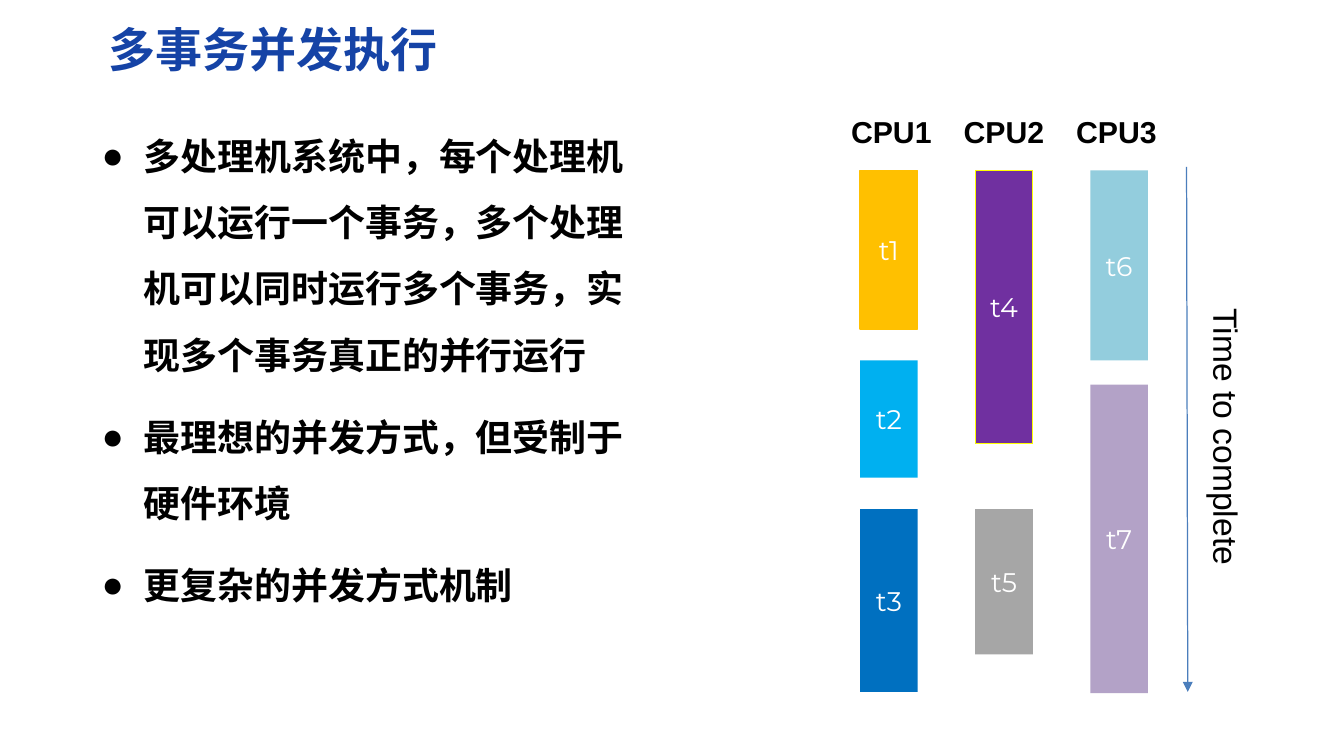
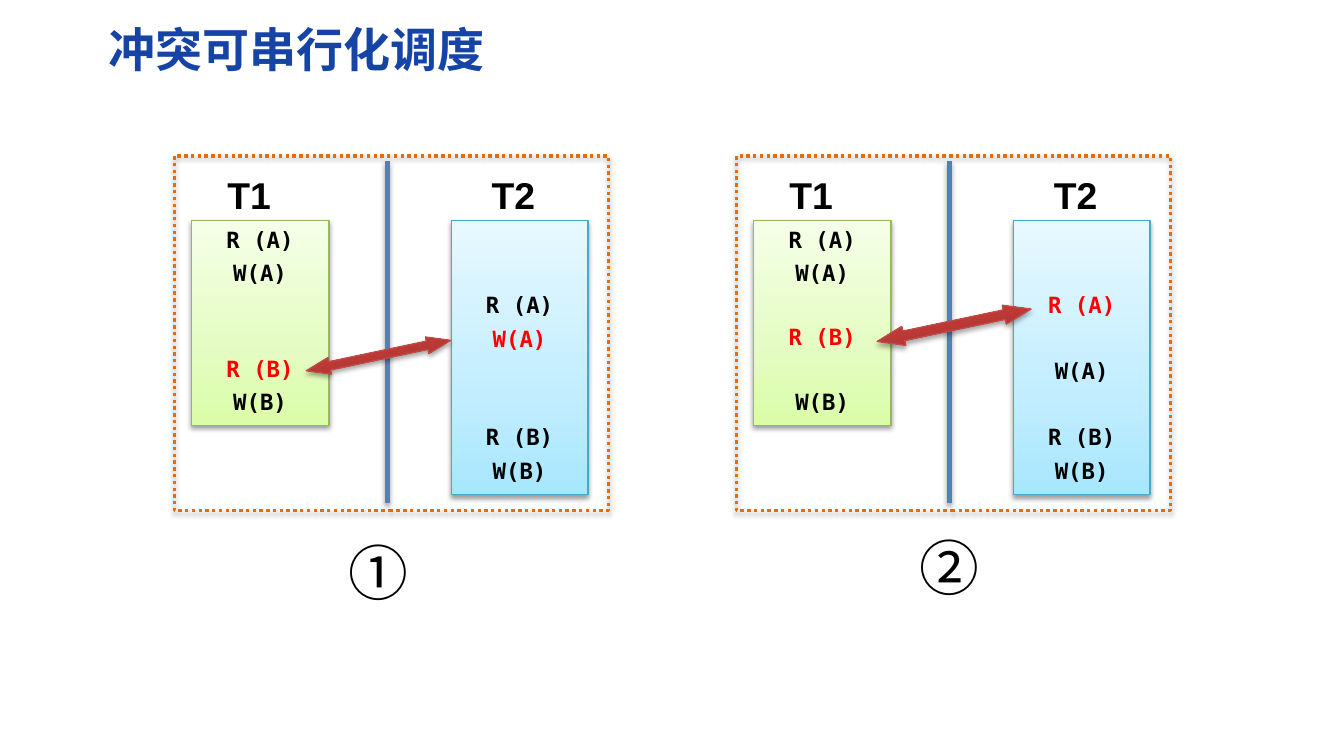
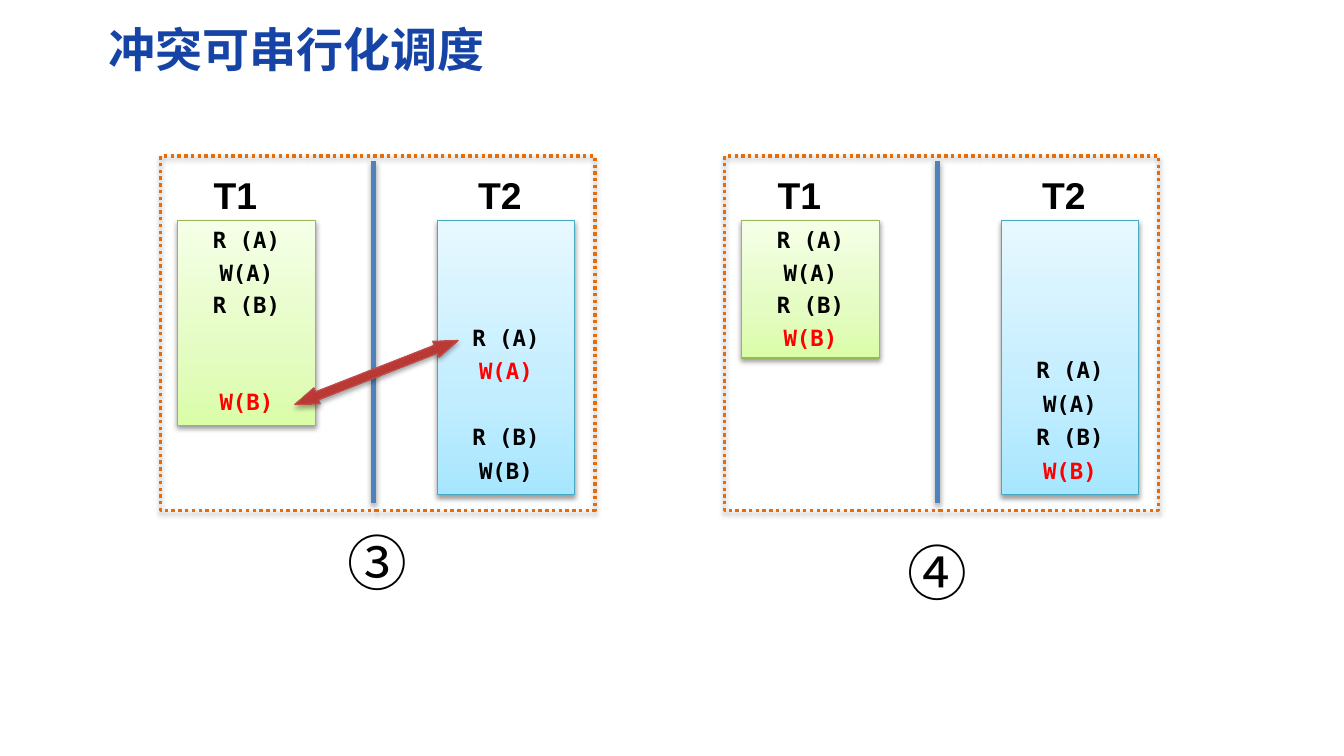
from copy import deepcopy

from lxml.etree import SubElement
from pptx import Presentation
from pptx.dml.color import RGBColor
from pptx.enum.dml import MSO_LINE
from pptx.enum.shapes import MSO_CONNECTOR, MSO_SHAPE as SHAPE
from pptx.enum.text import MSO_ANCHOR as ANCHOR, PP_ALIGN as ALIGN
from pptx.oxml.ns import qn
from pptx.util import Pt

CJK, SANS, MONO, LABEL = "Noto Sans CJK SC", "Arial", "DejaVu Sans Mono", "Montserrat"
COLORS = {
    "title": "1543A6", "text": "000000", "white": "FFFFFF", "conflict": "FF0000",
    "frame": "E46C0A", "divider": "4F81BD", "time": "4B7EBC",
    "t1_edge": "98B955", "t2_edge": "46AAC5", "arrow_edge": "BF4C48",
    "amber": "FFC000", "sky": "00B0F0", "blue": "0070C0", "purple": "7030A0",
    "yellow": "FFFF00", "grey": "A6A6A6", "aqua": "93CDDD", "lilac": "B3A2C7",
}
# Gradient stops run from the bottom upwards.
GRADIENTS = {
    "t1": [(0, "DAFDA7"), (0.35, "E4FCC2"), (1, "F5FFE7")],
    "t2": [(0, "A7E6FF"), (0.35, "C1EDFF"), (1, "E7F8FF")],
    "arrow": [(0, "9C2F2D"), (0.8, "CB3E3A"), (1, "CE3B37")],
}

PARALLEL_TITLE = "多事务并发执行"
PARALLEL_POINTS = [
    "多处理机系统中，每个处理机可以运行一个事务，多个处理机可以同时运行多个事务，实现多个事务真正的并行运行",
    "最理想的并发方式，但受制于硬件环境",
    "更复杂的并发方式机制",
]
# Each processor runs (transaction, top, height, fill, edge).
PROCESSORS = {
    "CPU1": [("t1", 101.5, 94.3, "amber", "amber"),
             ("t2", 214.6, 69.8, "sky", None),
             ("t3", 303.1, 108.7, "blue", None)],
    "CPU2": [("t4", 101.5, 162.7, "purple", "yellow"),
             ("t5", 303.1, 86.4, "grey", None)],
    "CPU3": [("t6", 101.5, 113, "aqua", None),
             ("t7", 229, 183.6, "lilac", None)],
}

SCHEDULE_TITLE = "冲突可串行化调度"
# An empty string is an idle time step; "hot" gives the conflicting step of T1 and T2.
# The arrow is (left, top, width, height, rotation), measured from the frame.
SCHEDULE_SLIDES = [
    [
        {"mark": "①", "mark_at": (200.2, 315.4), "left": 103.7, "hot": (4, 3),
         "T1": ["R (A)", "W(A)", "", "", "R (B)", "W(B)"],
         "T2": ["", "", "R (A)", "W(A)", "", "", "R (B)", "W(B)"],
         "arrow": (77.7, 113.7, 87.8, 10.1, -11.9)},
        {"mark": "②", "mark_at": (540, 312.5), "left": 438.3, "hot": (3, 2),
         "T1": ["R (A)", "W(A)", "", "R (B)", "", "W(B)"],
         "T2": ["", "", "R (A)", "", "W(A)", "", "R (B)", "W(B)"],
         "arrow": (82.8, 95, 93.6, 11.5, -11.9)},
    ],
    [
        {"mark": "③", "mark_at": (199.4, 309.6), "left": 95.6, "hot": (5, 4),
         "T1": ["R (A)", "W(A)", "R (B)", "", "", "W(B)"],
         "T2": ["", "", "", "R (A)", "W(A)", "", "R (B)", "W(B)"],
         "arrow": (76.3, 123.8, 104.4, 10.1, -21.4)},
        {"mark": "④", "mark_at": (532.8, 315.4), "left": 431.3, "hot": (3, 7),
         "T1": ["R (A)", "W(A)", "R (B)", "W(B)"],
         "T2": ["", "", "", "", "R (A)", "W(A)", "R (B)", "W(B)"],
         "arrow": None},
    ],
]
FRAME_TOP, FRAME_WIDTH, FRAME_HEIGHT = 92.9, 258.5, 211
STEP_LINE = 15.5  # height of one line of operations


def rgb(name):
    return RGBColor.from_string(COLORS[name])


def add_span(para, text, size, font, color="text", bold=False):
    span = para.add_run()
    span.text = text
    span.font.size = Pt(size)
    span.font.bold = bold
    span.font.color.rgb = rgb(color)
    span.font.name = font
    SubElement(span._r.get_or_add_rPr(), qn("a:ea"), typeface=font)


def set_insets(frame, side, top):
    frame.margin_left = frame.margin_right = Pt(side)
    frame.margin_top = frame.margin_bottom = Pt(top)


def add_text(shapes, text, at, size, font, align=ALIGN.CENTER, **style):
    frame = shapes.add_textbox(*map(Pt, at)).text_frame
    frame.word_wrap = True
    frame.paragraphs[0].alignment = align
    add_span(frame.paragraphs[0], text, size, font, **style)
    return frame


def add_block(shapes, kind, at, fill=None, edge=None, weight=0.75):
    """Add a shape whose fill is a colour name, a list of stops or nothing."""
    block = shapes.add_shape(kind, *map(Pt, at))
    block.shadow.inherit = False
    if fill is None:
        block.fill.background()
    elif isinstance(fill, list):
        block.fill.gradient()
        block.fill.gradient_angle = 90
        stop_list = block._element.spPr.find(".//" + qn("a:gsLst"))
        stop_list.append(deepcopy(stop_list[0]))
        for stop, (position, color) in zip(block.fill.gradient_stops, fill):
            stop.position = position
            stop.color.rgb = RGBColor.from_string(color)
    else:
        block.fill.solid()
        block.fill.fore_color.rgb = rgb(fill)
    if edge:
        block.line.color.rgb = rgb(edge)
        block.line.width = Pt(weight)
    else:
        block.line.fill.background()
    return block


def add_line(shapes, ends, color, weight):
    line = shapes.add_connector(MSO_CONNECTOR.STRAIGHT, *map(Pt, ends))
    line.line.color.rgb = rgb(color)
    line.line.width = Pt(weight)
    SubElement(line._element.spPr, qn("a:effectLst"))
    return line


def drop_shadow(shape, distance=1.6, opacity=38):
    effects = shape._element.spPr.find(qn("a:effectLst"))
    shadow = SubElement(effects, qn("a:outerShdw"), blurRad=str(Pt(3.1)),
                        dist=str(Pt(distance)), dir="5400000", rotWithShape="0")
    color = SubElement(shadow, qn("a:srgbClr"), val=COLORS["text"])
    SubElement(color, qn("a:alpha"), val=str(opacity * 1000))


def add_page(deck, title):
    page = deck.slides.add_slide(deck.slide_layouts[6])
    frame = add_text(page.shapes, title, (56.9, 8.6, 706.3, 41), 28, CJK,
                     ALIGN.LEFT, color="title", bold=True)
    frame.vertical_anchor = ANCHOR.MIDDLE
    set_insets(frame, 7.9, 4.3)
    return page


def add_points(page, points):
    frame = page.shapes.add_textbox(Pt(54), Pt(63.3), Pt(340), Pt(302)).text_frame
    frame.word_wrap = True
    set_insets(frame, 6.5, 2.9)
    for index, point in enumerate(points):
        para = frame.add_paragraph() if index else frame.paragraphs[0]
        para.line_spacing = Pt(39.5)
        if index:
            para.space_before = Pt(9.3)
        layout = para._p.get_or_add_pPr()
        layout.set("marL", str(Pt(25.2)))
        layout.set("indent", str(Pt(-25.2)))
        SubElement(layout, qn("a:buFont"), typeface=SANS)
        SubElement(layout, qn("a:buChar"), char="●")
        add_span(para, point, 22, CJK, bold=True)


def add_timeline(page):
    for column, (processor, bars) in enumerate(PROCESSORS.items()):
        add_text(page.shapes, processor, (496.1 + 67 * column, 64.1, 69, 28.8),
                 18, SANS, bold=True)
        for name, top, height, fill, edge in bars:
            bar = add_block(page.shapes, SHAPE.RECTANGLE,
                            (512 + 68.5 * column, top, 34.3, height), fill, edge)
            frame = bar.text_frame
            frame.vertical_anchor = ANCHOR.MIDDLE
            frame.paragraphs[0].alignment = ALIGN.CENTER
            add_span(frame.paragraphs[0], name, 16, LABEL, "white")
    arrow = add_line(page.shapes, (706.3, 99.4, 707, 411.8), "time", 0.75)
    SubElement(arrow.line._get_or_add_ln(), qn("a:tailEnd"), type="triangle")
    frame = add_text(page.shapes, "Time to complete", (707, 176.4, 38.9, 203),
                     20, SANS, ALIGN.LEFT)
    frame._txBody.bodyPr.set("vert", "eaVert")


def fill_steps(box, steps, hot, pitch):
    """Write the operations, turning idle steps into space above the next one."""
    frame = box.text_frame
    frame.vertical_anchor = ANCHOR.TOP
    busy = [row for row, step in enumerate(steps) if step]
    frame.margin_top = Pt(3.6 + busy[0] * pitch)
    for previous, row in zip([None] + busy, busy):
        para = frame.paragraphs[0] if previous is None else frame.add_paragraph()
        para.alignment = ALIGN.CENTER
        if previous is not None:
            para.space_before = Pt(round((row - previous) * pitch - STEP_LINE, 2))
        add_span(para, steps[row], 13.3, MONO, "conflict" if row == hot else "text", True)


def add_schedule(page, schedule):
    shapes = page.shapes.add_group_shape().shapes
    left, top = schedule["left"], FRAME_TOP
    frame = add_block(shapes, SHAPE.RECTANGLE, (left, top, FRAME_WIDTH, FRAME_HEIGHT),
                      edge="frame", weight=2)
    frame.line.dash_style = MSO_LINE.ROUND_DOT
    drop_shadow(frame)
    middle = left + 126.7
    divider = add_line(shapes, (middle, top + 3, middle, top + 206.6), "divider", 3)
    drop_shadow(divider, 1.8, 35)

    t1_height = 20 * len(schedule["T1"]) + 2
    columns = [("T1", 13.3, 10.1, 82, t1_height, 19), ("T2", 170.7, 164.9, 81.4, 163.4, 19.4)]
    for (name, label_x, box_x, width, height, pitch), hot in zip(columns, schedule["hot"]):
        add_text(shapes, name, (left + label_x, top + 5.8, 62.6, 33.8), 22.2, SANS, bold=True)
        key = name.lower()
        box = add_block(shapes, SHAPE.RECTANGLE, (left + box_x, top + 38.2, width, height),
                        GRADIENTS[key], key + "_edge")
        drop_shadow(box)
        fill_steps(box, schedule[name], hot, pitch)

    if schedule["arrow"]:
        x, y, width, height, rotation = schedule["arrow"]
        arrow = add_block(shapes, SHAPE.LEFT_RIGHT_ARROW, (left + x, top + y, width, height),
                          GRADIENTS["arrow"], "arrow_edge")
        arrow.adjustments[0], arrow.adjustments[1] = 0.5, 1.41
        arrow.rotation = rotation
        drop_shadow(arrow, 1.8, 35)

    mark = add_text(page.shapes, schedule["mark"], (*schedule["mark_at"], 50.4, 50.4), 35.6, CJK)
    mark.word_wrap = False


def main():
    deck = Presentation()
    deck.slide_width, deck.slide_height = Pt(800), Pt(450)
    page = add_page(deck, PARALLEL_TITLE)
    add_points(page, PARALLEL_POINTS)
    add_timeline(page)
    for schedules in SCHEDULE_SLIDES:
        page = add_page(deck, SCHEDULE_TITLE)
        for schedule in schedules:
            add_schedule(page, schedule)
    deck.save("out.pptx")


if __name__ == "__main__":
    main()
